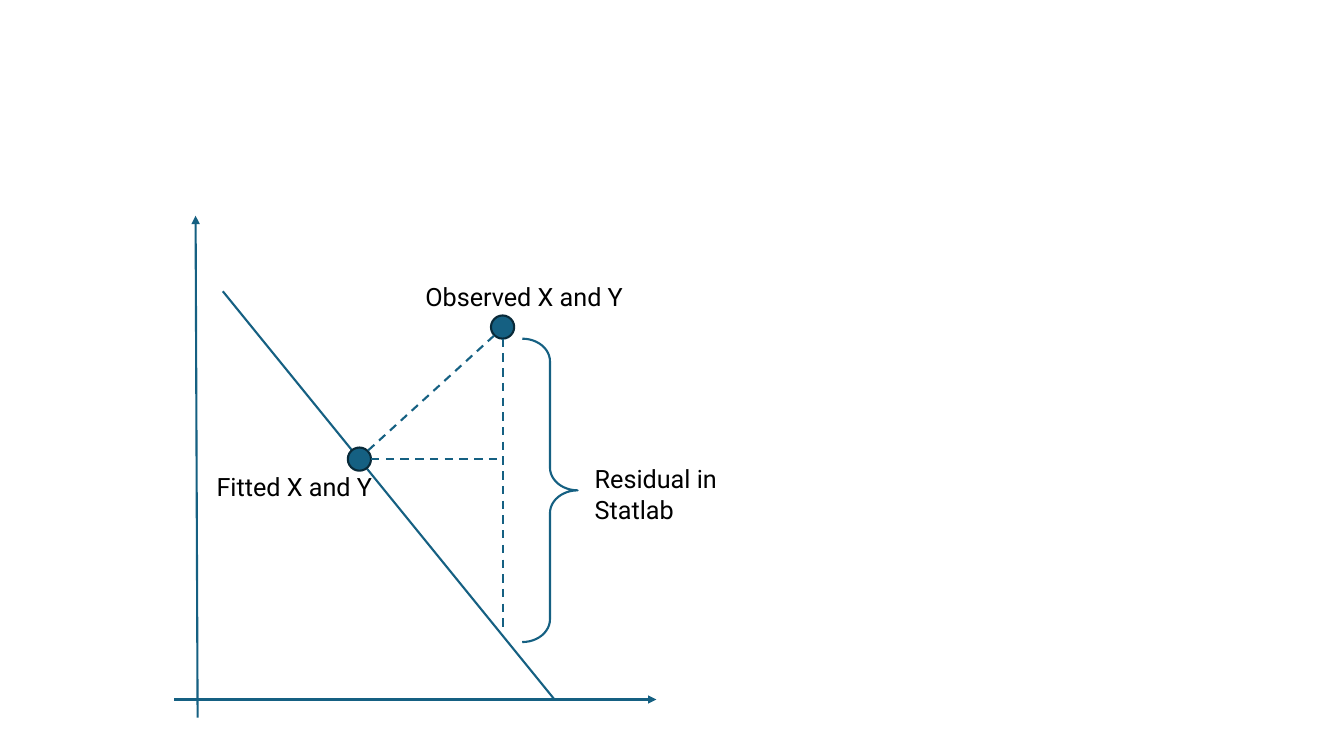
from pptx import Presentation
from pptx.dml.color import RGBColor
from pptx.enum.dml import MSO_LINE as Dash
from pptx.enum.shapes import MSO_CONNECTOR as Conn, MSO_SHAPE as Shape
from pptx.enum.text import MSO_AUTO_SIZE as Auto
from pptx.oxml.ns import qn
from pptx.util import Inches, Pt
from lxml.etree import SubElement

BLUE, NAVY, BLACK = "156082", "092A39", "000000"


def paint(fill, color):
    fill.solid()
    fill.fore_color.rgb = RGBColor.from_string(color)


deck = Presentation()
deck.slide_width, deck.slide_height = Inches(13.33), Inches(7.5)
slide = deck.slides.add_slide(deck.slide_layouts[6])
paint(slide.background.fill, "FFFFFF")
shapes = slide.shapes


def draw(start, end, dash=None, arrow=False):
    ends = [Inches(v) for v in (*start, *end)]
    line = shapes.add_connector(Conn.STRAIGHT, *ends)
    paint(line.line.fill, BLUE)
    line.line.width = Pt(1.5)
    if dash:
        line.line.dash_style = dash
    props = line._element.spPr
    if arrow:
        SubElement(props.find(qn("a:ln")), qn("a:tailEnd"), type="triangle")
    SubElement(props, qn("a:effectLst"))


# Axes and fitted line
draw((1.73, 6.94), (6.51, 6.94), arrow=True)
draw((1.96, 7.12), (1.94, 2.14), arrow=True)
draw((2.21, 2.89), (5.5, 6.94))

# Fitted and observed points
for x, y in [(3.45, 4.44), (4.87, 3.13)]:
    dot = shapes.add_shape(Shape.OVAL, Inches(x), Inches(y), Inches(0.23), Inches(0.23))
    dot.shadow.inherit = False
    paint(dot.fill, BLUE)
    paint(dot.line.fill, NAVY)
    dot.line.width = Pt(1.5)

# Dashed distances between point and line
for start, end in [
    ((4.9, 3.33), (3.65, 4.47)),
    ((4.99, 3.36), (4.99, 6.28)),
    ((3.68, 4.55), (4.99, 4.55)),
]:
    draw(start, end, Dash.DASH)

# Residual brace
brace = shapes.add_shape(
    Shape.RIGHT_BRACE, Inches(5.18), Inches(3.36), Inches(0.55), Inches(3.01)
)
brace.shadow.inherit = False
brace.adjustments[0], brace.adjustments[1] = 0.41, 0.5
brace.fill.background()
paint(brace.line.fill, BLUE)
brace.line.width = Pt(1.5)

# Labels
look = {"name": "Roboto", "size": Pt(18)}
for text, x, y, w, h in [
    ("Observed X and Y", 4.12, 2.74, 4.53, 0.4),
    ("Fitted X and Y", 2.05, 4.63, 4.53, 0.4),
    ("Residual in Statlab", 5.8, 4.55, 1.8, 0.71),
]:
    frame = shapes.add_textbox(Inches(x), Inches(y), Inches(w), Inches(h)).text_frame
    frame.word_wrap = True
    frame.auto_size = Auto.SHAPE_TO_FIT_TEXT
    run = frame.paragraphs[0].add_run()
    run.text = text
    for key, value in look.items():
        setattr(run.font, key, value)
    paint(run.font.fill, BLACK)

deck.save("out.pptx")
